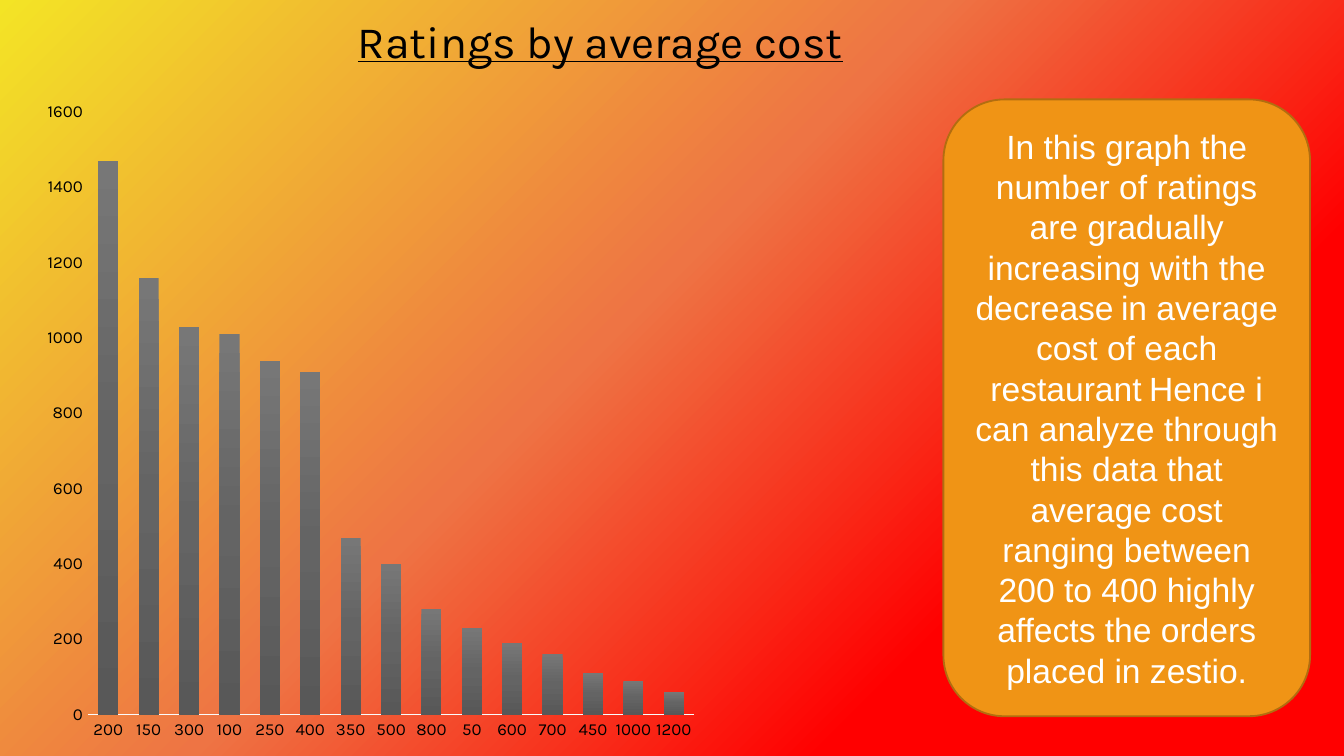
"""Build a slide on ratings by average cost: a column chart and a comment."""
from lxml import etree
from pptx import Presentation
from pptx.chart.data import CategoryChartData
from pptx.dml.color import RGBColor
from pptx.enum.chart import XL_CHART_TYPE, XL_TICK_MARK
from pptx.enum.shapes import MSO_SHAPE
from pptx.enum.text import MSO_ANCHOR, PP_ALIGN
from pptx.oxml import parse_xml
from pptx.oxml.ns import nsdecls, qn
from pptx.util import Cm, Pt

COLUMN = XL_CHART_TYPE.COLUMN_CLUSTERED
NO_TICK = XL_TICK_MARK.NONE
ROUNDED = MSO_SHAPE.ROUNDED_RECTANGLE
MIDDLE = MSO_ANCHOR.MIDDLE
CENTER = PP_ALIGN.CENTER

TITLE = "Ratings by average cost"
RATINGS = [
    ("200", 1470), ("150", 1160), ("300", 1030), ("100", 1010), ("250", 940),
    ("400", 910), ("350", 470), ("500", 400), ("800", 280), ("50", 230),
    ("600", 190), ("700", 160), ("450", 110), ("1000", 90), ("1200", 60),
]
NOTE = [
    "In this graph the number of ratings are gradually increasing with the decrease",
    "in average cost of each restaurant",
    "Hence i can analyze through this data that average cost ranging between "
    "200 to 400 highly",
    "affects the orders placed in zestio.",
]
COLORS = {"text": "000000", "note_text": "FFFFFF", "note": "F09415",
          "note_line": "B26D10", "axis": "FBFBFB"}
BACKGROUND = [(0, "F3E425"), (45, "EE7444"), (75, "FF0000")]
BARS = [(0, "777777"), (50, "646464"), (100, "585858")]
FONT = "Karla"
TITLE_BOX = Cm(2.01), Cm(0.08), Cm(18.67), Cm(1.5)
CHART_BOX = Cm(0.64), Cm(1.68), Cm(12.73), Cm(12.55)
NOTE_BOX = Cm(17.83), Cm(1.88), Cm(6.93), Cm(11.66)


def rgb(name):
    return RGBColor.from_string(COLORS[name])


def style(font, size, color="text", name=FONT):
    font.size, font.name = Pt(size), name
    font.color.rgb = rgb(color)


def add_text(p, text, size=18, color="text", name=FONT, underline=None):
    r = p.add_run()
    r.text = text
    style(r.font, size, color, name)
    r.font.underline = underline
    return r


def set_gradient(fill, element, stops, angle):
    fill.gradient()
    fill.gradient_angle = 360 - angle
    gs_list = element.find(".//" + qn("a:gsLst"))
    for gs in list(gs_list):
        gs_list.remove(gs)
    for pos, color in stops:
        gs = etree.SubElement(gs_list, qn("a:gs"), pos=str(pos * 1000))
        etree.SubElement(gs, qn("a:srgbClr"), val=color)


def add_title(s):
    tf = s.shapes.add_textbox(*TITLE_BOX).text_frame
    tf.word_wrap, tf.vertical_anchor = True, MIDDLE
    tf.margin_top = tf.margin_bottom = Cm(0.25)
    p = tf.paragraphs[0]
    p.alignment, p.line_spacing = CENTER, 0.9
    r = add_text(p, TITLE, size=24, underline=True)
    glow = parse_xml(
        f'<a:effectLst {nsdecls("a")}><a:outerShdw blurRad="76200" dist="63500" '
        'dir="5400000"><a:srgbClr val="FFFFFF"><a:alpha val="40000"/></a:srgbClr>'
        '</a:outerShdw></a:effectLst>')
    r.font.fill  
    r._r.rPr.find(qn("a:solidFill")).addnext(glow)


def add_chart(s):
    data = CategoryChartData()
    data.categories = [cost for cost, _ in RATINGS]
    data.add_series("Series 1", [count for _, count in RATINGS])
    chart = s.shapes.add_chart(COLUMN, *CHART_BOX, data).chart
    chart.has_legend = chart.has_title = False
    style(chart.font, 10)
    for axis in (chart.category_axis, chart.value_axis):
        axis.major_tick_mark = axis.minor_tick_mark = NO_TICK
        axis.has_major_gridlines = False
        style(axis.tick_labels.font, 9)
    line = chart.category_axis.format.line
    line.color.rgb, line.width = rgb("axis"), Pt(0.75)
    axis = chart.value_axis
    axis.format.line.fill.background()
    axis.minimum_scale, axis.maximum_scale, axis.major_unit = 0, 1600, 200
    plot = chart.plots[0]
    plot.gap_width, plot.overlap, plot.vary_by_categories = 100, -24, False
    series = plot.series[0]
    set_gradient(series.format.fill, series._element, BARS, 90)


def add_note(s):
    sp = s.shapes.add_shape(ROUNDED, *NOTE_BOX)
    sp.shadow.inherit = False
    sp.fill.solid()
    sp.fill.fore_color.rgb = rgb("note")
    sp.line.color.rgb, sp.line.width = rgb("note_line"), Pt(1)
    tf = sp.text_frame
    tf.word_wrap, tf.vertical_anchor = True, MIDDLE
    p = tf.paragraphs[0]
    p.alignment = CENTER
    for i, text in enumerate(NOTE):
        if i:
            add_text(p, " ", size=14, color="note_text", name="Arial")
        add_text(p, text, color="note_text", name="Arial")


def main():
    prs = Presentation()
    prs.slide_width, prs.slide_height = Cm(25.4), Cm(14.29)
    s = prs.slides.add_slide(prs.slide_layouts[6])
    set_gradient(s.background.fill, s.element, BACKGROUND, 45)
    add_title(s)
    add_chart(s)
    add_note(s)
    prs.save("out.pptx")


if __name__ == "__main__":
    main()
